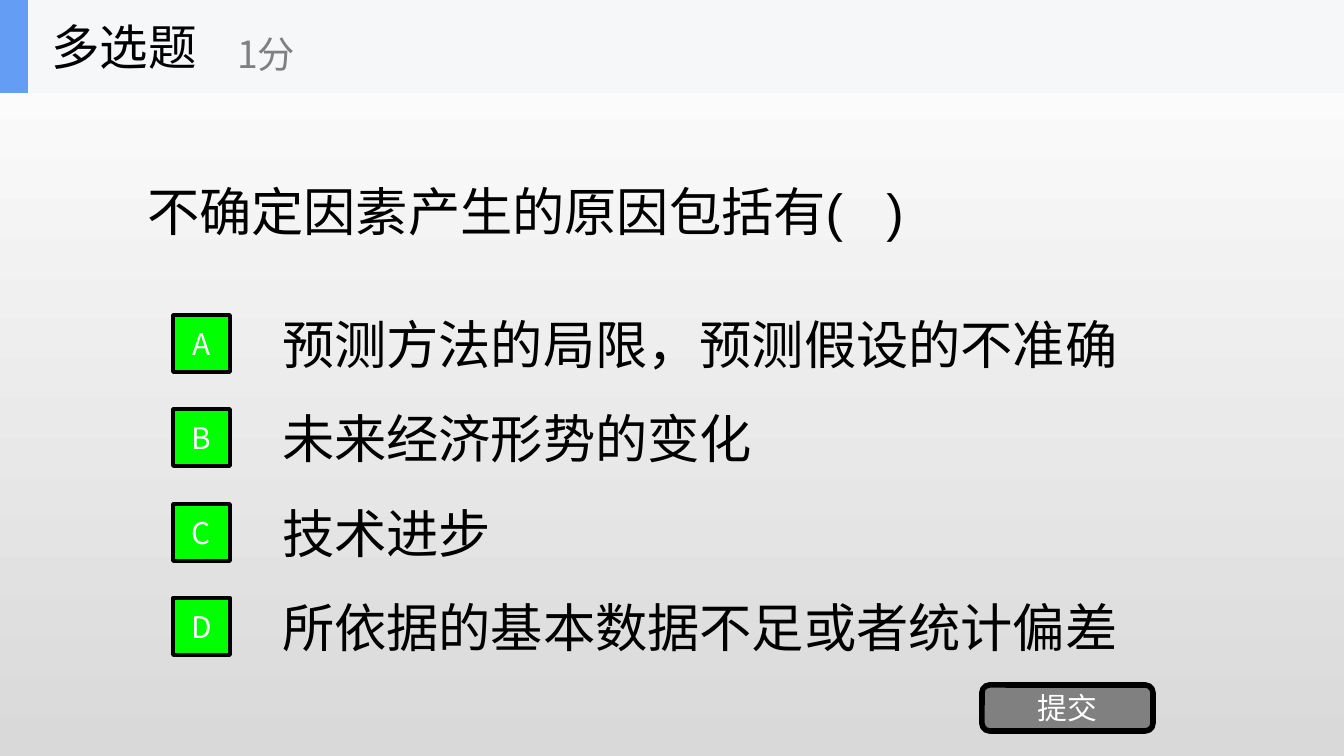
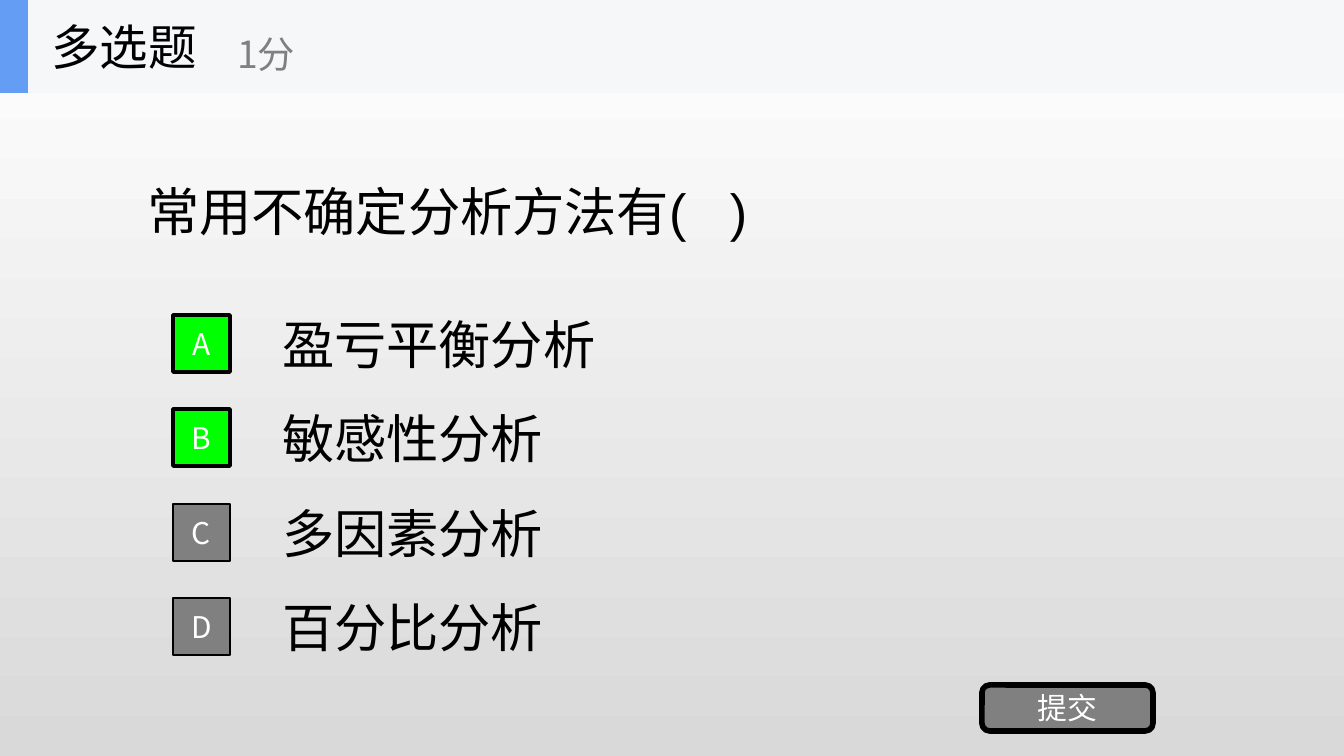
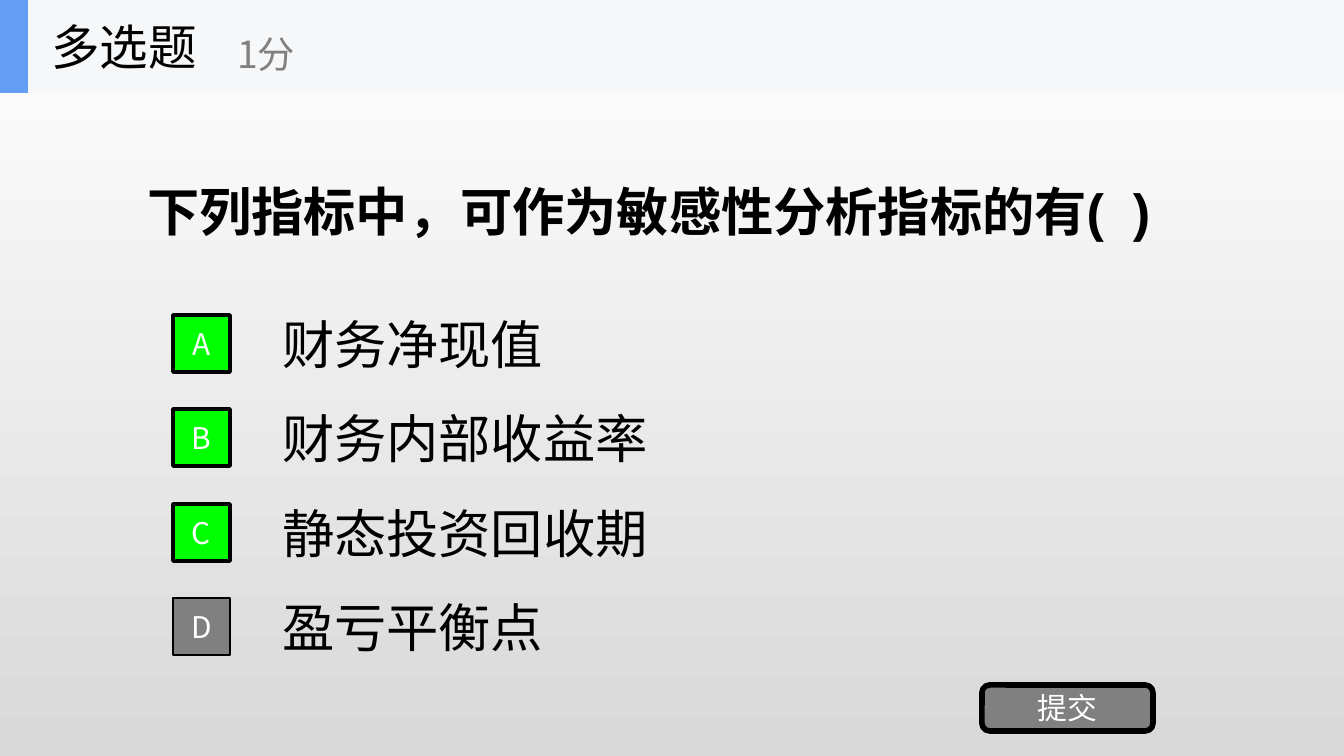
from dataclasses import dataclass

from pptx import Presentation
from pptx.dml.color import RGBColor
from pptx.enum.shapes import MSO_SHAPE as SHAPE
from pptx.enum.text import MSO_ANCHOR as ANCHOR, PP_ALIGN as ALIGN
from pptx.oxml.ns import qn
from pptx.util import Pt

PX = 914400 / 134.4
SLIDE_W, SLIDE_H = 1344, 756


@dataclass(frozen=True)
class Theme:
    # Colours
    bg_top: str = "FFFFFF"
    bg_bottom: str = "D9D9D9"
    band: str = "F6F7F8"
    accent: str = "639EF4"
    ink: str = "000000"
    muted: str = "808080"
    correct: str = "00FF00"
    light: str = "FFFFFF"
    # Fonts and type sizes
    body_font: str = "Arial"
    ui_font: str = "Noto Sans CJK SC"
    body: int = 28
    title: int = 26
    score: int = 20
    button: int = 16


T = Theme()

# Boxes: left, top, width, height
HEADER = (0, 0, SLIDE_W, 93)
QUESTION = (134, 93, 1075, 236)
OPTIONS = (173, 308, 1036, 378)
SUBMIT = (982, 685, 171, 46)

# Question, bold, options, letters of the correct options
QUIZ = [
    ("不确定因素产生的原因包括有(   )", False,
     ["预测方法的局限，预测假设的不准确", "未来经济形势的变化", "技术进步",
      "所依据的基本数据不足或者统计偏差"], "ABCD"),
    ("常用不确定分析方法有(   )", False,
     ["盈亏平衡分析", "敏感性分析", "多因素分析", "百分比分析"], "AB"),
    ("下列指标中，可作为敏感性分析指标的有(  )", True,
     ["财务净现值", "财务内部收益率", "静态投资回收期", "盈亏平衡点"], "ABC"),
]


def emu(box):
    return [round(v * PX) for v in box]


def rgb(color):
    return RGBColor.from_string(color)


def write(sp, text, size, font, color, align=ALIGN.LEFT, bold=False):
    tf = sp.text_frame
    tf.word_wrap = True
    tf.vertical_anchor = ANCHOR.MIDDLE
    p = tf.paragraphs[0]
    p.alignment = align
    r = p.add_run()
    r.text = text
    for name, value in {"size": Pt(size), "name": font, "bold": bold}.items():
        setattr(r.font, name, value)
    r.font.color.rgb = rgb(color)
    ea = r.font._element.makeelement(qn("a:ea"), {"typeface": T.ui_font})
    r.font._element.find(qn("a:latin")).addnext(ea)


def add_text(shapes, box, *args, **kwargs):
    write(shapes.add_textbox(*emu(box)), *args, **kwargs)


def add_block(shapes, box, fill, kind=SHAPE.RECTANGLE, line=0):
    sp = shapes.add_shape(kind, *emu(box))
    sp.shadow.inherit = False
    sp.fill.solid()
    sp.fill.fore_color.rgb = rgb(fill)
    if line:
        sp.line.color.rgb = rgb(T.ink)
        sp.line.width = Pt(line)
    else:
        sp.line.fill.background()
    return sp


def add_button(shapes, box, label, fill, kind, line):
    sp = add_block(shapes, box, fill, kind, line)
    for side in ("left", "top", "right", "bottom"):
        setattr(sp.text_frame, f"margin_{side}", 0)
    write(sp, label, T.button, T.ui_font, T.light, ALIGN.CENTER)


def set_background(master):
    fill = master.background.fill
    fill.gradient()
    fill.gradient_angle = 270
    for stop, color in zip(fill.gradient_stops, (T.bg_top, T.bg_bottom)):
        stop.color.rgb = rgb(color)


def draw_header(s, box):
    x, y, w, h = box
    shapes = s.shapes.add_group_shape().shapes
    add_block(shapes, box, T.band)
    add_block(shapes, (x, y, 28, h), T.accent)
    add_text(shapes, (x + 38, y, 280, h), "多选题", T.title, T.ui_font, T.ink)
    add_text(shapes, (x + 224, y + 16, 336, 75), "1分", T.score, T.ui_font, T.muted)


def draw_options(s, box, options, correct):
    x, y, w, h = box
    row_h, badge, indent = 71, 57, 96
    rows = [(y + i * h // len(options), text) for i, text in enumerate(options)]
    for top, text in rows:
        add_text(s.shapes, (x + indent, top, w - indent, row_h),
                 text, T.body, T.body_font, T.ink)
    # Letter badges, centred on their rows
    for letter, (top, _) in zip("ABCD", rows):
        fill, line = (T.correct, 2) if letter in correct else (T.muted, 1)
        add_button(s.shapes, (x, top + (row_h - badge) // 2, badge, badge),
                   letter, fill, SHAPE.RECTANGLE, line)


def draw_question_slide(prs, question, bold, options, correct):
    s = prs.slides.add_slide(prs.slide_layouts[6])
    add_text(s.shapes, QUESTION, question, T.body, T.body_font, T.ink, bold=bold)
    draw_options(s, OPTIONS, options, correct)
    add_button(s.shapes, SUBMIT, "提交", T.muted, SHAPE.ROUNDED_RECTANGLE, 3)
    draw_header(s, HEADER)


def main():
    prs = Presentation()
    prs.slide_width, prs.slide_height = emu((SLIDE_W, SLIDE_H))
    set_background(prs.slide_master)
    for item in QUIZ:
        draw_question_slide(prs, *item)
    prs.save("out.pptx")


if __name__ == "__main__":
    main()
